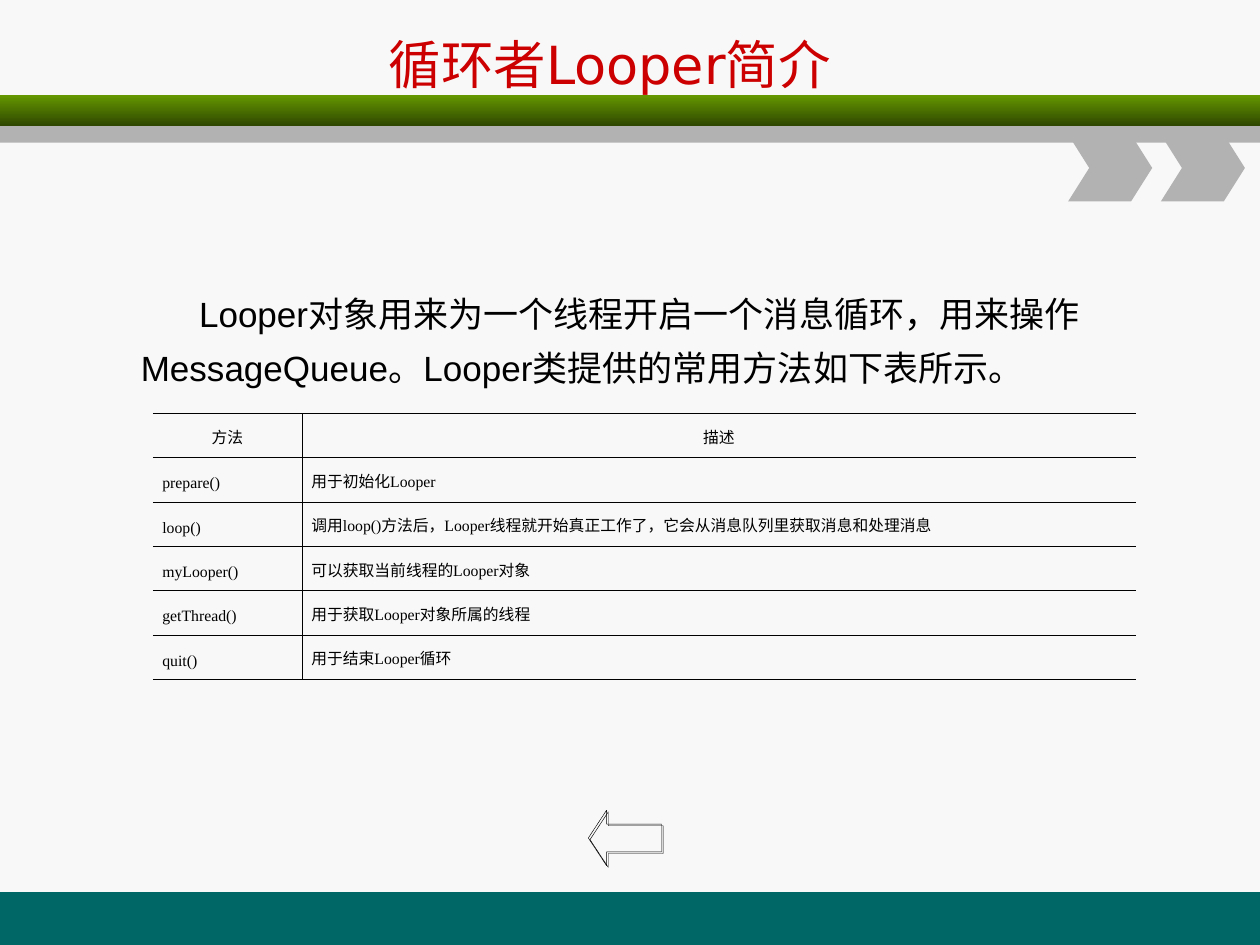
from dataclasses import dataclass
from typing import Any, NamedTuple

from lxml.etree import SubElement
from pptx import Presentation
from pptx.dml.color import RGBColor
from pptx.enum.shapes import MSO_SHAPE
from pptx.enum.text import MSO_ANCHOR, MSO_AUTO_SIZE, PP_ALIGN
from pptx.oxml import parse_xml
from pptx.oxml.ns import nsdecls, qn
from pptx.util import Pt


@dataclass(frozen=True)
class Theme:
    """Colours, fonts and type sizes of the slide."""
    page: str = "F8F8F8"
    footer: str = "006666"
    green: str = "669900"
    dark_green: str = "2F4700"
    grey: str = "B2B2B2"
    heading: str = "CC0000"
    ink: str = "000000"
    heading_font: str = "DejaVu Sans"
    body_font: str = "Arial"
    table_font: str = "Times New Roman"
    heading_size: float = 30
    body_size: float = 20
    table_size: float = 9
    rule: float = 0.45


class Box(NamedTuple):
    """A frame in points."""
    left: float
    top: float
    width: float
    height: float

    def lengths(self) -> list[Pt]:
        """Return the frame as lengths."""
        return [Pt(value) for value in self]


class Band(NamedTuple):
    """A full-width strip with one colour, or two for a gradient."""
    top: float
    height: float
    colours: tuple[str, ...]


class Method(NamedTuple):
    """A table row."""
    name: str
    purpose: str


THEME = Theme()
SLIDE_WIDTH, SLIDE_HEIGHT = 720, 540
BANDS = [
    Band(509.8, 30.2, (THEME.footer,)),
    Band(54, 18, (THEME.green, THEME.dark_green)),
    Band(72, 9.5, (THEME.grey,)),
]
CHEVRON_LEFTS = (610.4, 663.4)
CHEVRON_TOP = 77
CHEVRON_OUTLINE = [(0, 0), (36, 0), (48, 19), (36, 38), (0, 38), (12, 19)]
HEADER = Method("方法", "描述")
METHODS = [
    Method("prepare()", "用于初始化Looper"),
    Method("loop()", "调用loop()方法后，Looper线程就开始真正工作了，它会从消息队列里获取消息和处理消息"),
    Method("myLooper()", "可以获取当前线程的Looper对象"),
    Method("getThread()", "用于获取Looper对象所属的线程"),
    Method("quit()", "用于结束Looper循环"),
]
COLUMN_WIDTHS = (85.2, 476.4)
ROW_HEIGHT = 25.35


def assign(target: Any, values: dict[str, Any]) -> None:
    """Set each named attribute on the target."""
    for name, value in values.items():
        setattr(target, name, value)


def write(frame: Any, text: str, font: str, size: float, colour: str, layout: dict[str, Any]) -> Any:
    """Fill a text frame with one formatted paragraph."""
    frame.text = text
    paragraph = frame.paragraphs[0]
    assign(paragraph, layout)
    run = paragraph.runs[0]
    assign(run.font, {"name": font, "size": Pt(size), "bold": False})
    run.font.color.rgb = RGBColor.from_string(colour)
    return paragraph


def paint(shape: Any, colours: tuple[str, ...]) -> None:
    """Fill a shape without outline or shadow."""
    shape.shadow.inherit = False
    shape.line.fill.background()
    if len(colours) == 1:
        shape.fill.solid()
        shape.fill.fore_color.rgb = RGBColor.from_string(colours[0])
        return
    shape.fill.gradient()
    shape.fill.gradient_angle = 270
    for position, (stop, colour) in enumerate(zip(shape.fill.gradient_stops, colours)):
        stop.position = position
        stop.color.rgb = RGBColor.from_string(colour)


def draw_band(shapes: Any, band: Band) -> None:
    """Draw a strip across the slide."""
    frame = Box(0, band.top, SLIDE_WIDTH, band.height)
    paint(shapes.add_shape(MSO_SHAPE.RECTANGLE, *frame.lengths()), band.colours)


def draw_chevron(shapes: Any, left: float) -> None:
    """Draw a notched chevron under the header."""
    corners = [(Pt(left + x), Pt(CHEVRON_TOP + y)) for x, y in CHEVRON_OUTLINE]
    builder = shapes.build_freeform(*corners[0], scale=1.0)
    builder.add_line_segments(corners[1:], close=True)
    paint(builder.convert_to_shape(), (THEME.grey,))


def draw_title(shapes: Any) -> None:
    """Format the title and bring it above the bands."""
    title = shapes.title
    assign(title, dict(zip(("left", "top", "width", "height"), Box(146.2, 12.2, 404.6, 48.2).lengths())))
    assign(title.text_frame, {"word_wrap": True, "auto_size": MSO_AUTO_SIZE.NONE,
                              "vertical_anchor": MSO_ANCHOR.MIDDLE})
    write(title.text_frame, "循环者Looper简介", THEME.heading_font, THEME.heading_size,
          THEME.heading, {"alignment": PP_ALIGN.CENTER})
    title.element.getparent().append(title.element)


def draw_introduction(shapes: Any) -> None:
    """Write the indented introduction."""
    frame = shapes.add_textbox(*Box(73.4, 156.2, 576, 69.8).lengths()).text_frame
    assign(frame, {"word_wrap": True, "auto_size": MSO_AUTO_SIZE.SHAPE_TO_FIT_TEXT})
    text = "Looper对象用来为一个线程开启一个消息循环，用来操作MessageQueue。Looper类提供的常用方法如下表所示。"
    paragraph = write(frame, text, THEME.body_font, THEME.body_size, THEME.ink, {"line_spacing": 1.3})
    properties = paragraph._p.get_or_add_pPr()
    properties.set("marL", "0")
    properties.set("indent", str(Pt(33.3)))


def rule_cell(cell: Any, ruled_sides: str) -> None:
    """Rule the listed sides of a cell and clear the others."""
    properties = cell._tc.get_or_add_tcPr()
    for position, side in enumerate("LRTB"):
        fill = f'<a:solidFill><a:srgbClr val="{THEME.ink}"/></a:solidFill>'
        if side not in ruled_sides:
            fill = "<a:noFill/>"
        border = parse_xml(f'<a:ln{side} {nsdecls("a")} w="{Pt(THEME.rule)}">{fill}</a:ln{side}>')
        properties.insert(position, border)


def draw_methods(shapes: Any) -> None:
    """Draw the table of methods."""
    rows = [HEADER, *METHODS]
    frame = Box(87.4, 236.2, sum(COLUMN_WIDTHS), ROW_HEIGHT * len(rows))
    table = shapes.add_table(len(rows), len(COLUMN_WIDTHS), *frame.lengths()).table
    assign(table, {"first_row": False, "horz_banding": False})
    for column, width in zip(table.columns, COLUMN_WIDTHS):
        column.width = Pt(width)
    for row_index, method in enumerate(rows):
        table.rows[row_index].height = Pt(ROW_HEIGHT)
        is_header = method is HEADER
        alignment = PP_ALIGN.CENTER if is_header else PP_ALIGN.JUSTIFY
        font = THEME.body_font if is_header else THEME.table_font
        for column_index, text in enumerate(method):
            cell = table.cell(row_index, column_index)
            assign(cell, {"vertical_anchor": MSO_ANCHOR.MIDDLE,
                          "margin_left": Pt(5.4), "margin_right": Pt(5.4)})
            cell.fill.background()
            write(cell.text_frame, text, font, THEME.table_size, THEME.ink,
                  {"alignment": alignment, "line_spacing": Pt(14)})
            rule_cell(cell, ("RTB", "LTB")[column_index])


def draw_back_arrow(shapes: Any) -> None:
    """Draw the outlined arrow with its hard shadow."""
    arrow = shapes.add_shape(MSO_SHAPE.LEFT_ARROW, *Box(336.2, 463, 41.8, 31.7).lengths())
    arrow.adjustments[1] = 0.33
    arrow.fill.background()
    arrow.line.color.rgb = RGBColor.from_string(THEME.ink)
    arrow.line.width = Pt(0.25)
    arrow.shadow.inherit = False
    effects = arrow.element.spPr.find(qn("a:effectLst"))
    shadow = SubElement(effects, qn("a:outerShdw"), dist=str(Pt(1.4)), dir="2700000")
    SubElement(shadow, qn("a:srgbClr"), val=THEME.ink)


def main() -> None:
    """Build and save the slide."""
    deck = Presentation()
    assign(deck, {"slide_width": Pt(SLIDE_WIDTH), "slide_height": Pt(SLIDE_HEIGHT)})
    slide = deck.slides.add_slide(deck.slide_layouts[5])
    slide.background.fill.solid()
    slide.background.fill.fore_color.rgb = RGBColor.from_string(THEME.page)
    for band in BANDS:
        draw_band(slide.shapes, band)
    for left in CHEVRON_LEFTS:
        draw_chevron(slide.shapes, left)
    for draw in (draw_title, draw_introduction, draw_methods, draw_back_arrow):
        draw(slide.shapes)
    deck.save("out.pptx")


if __name__ == "__main__":
    main()
